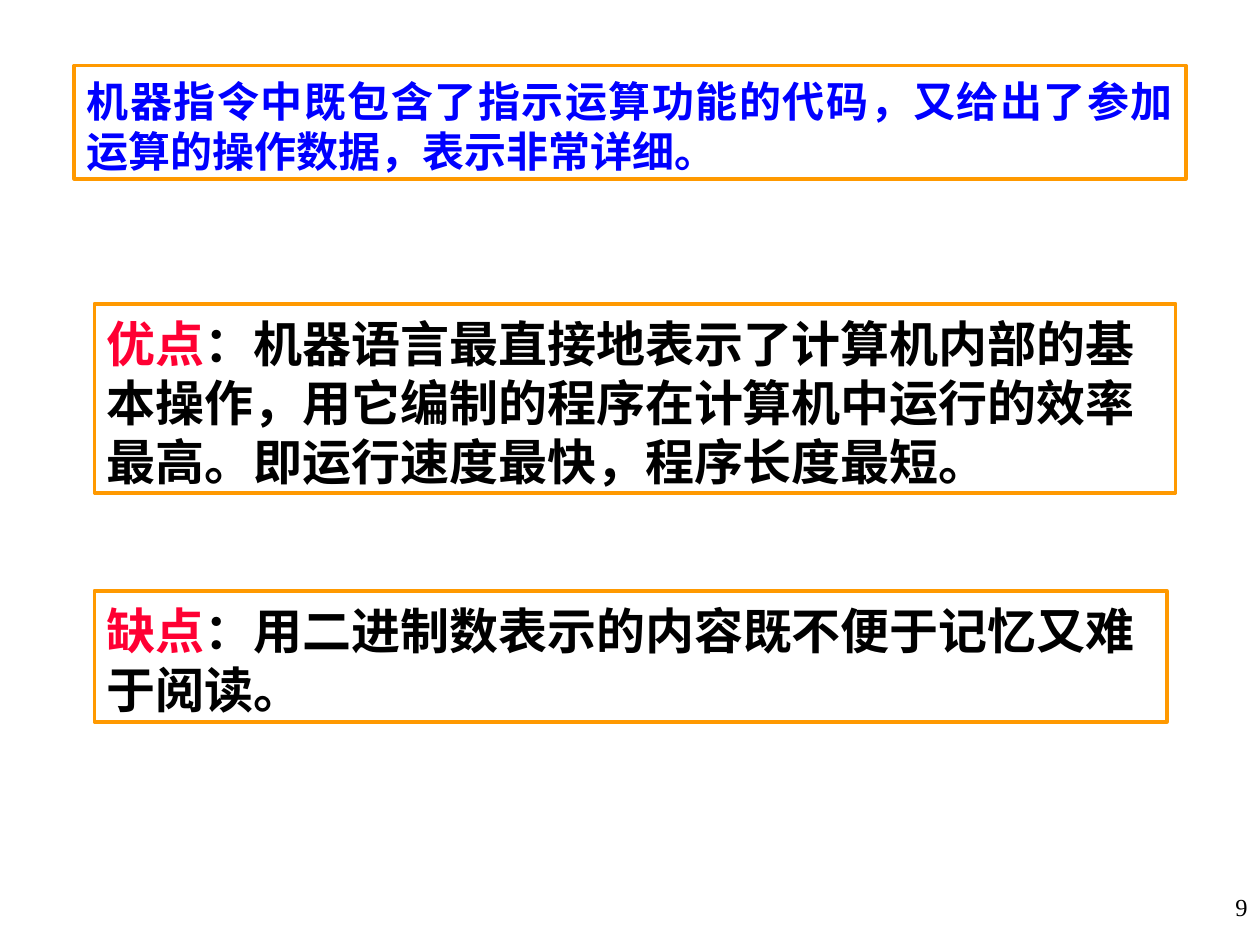
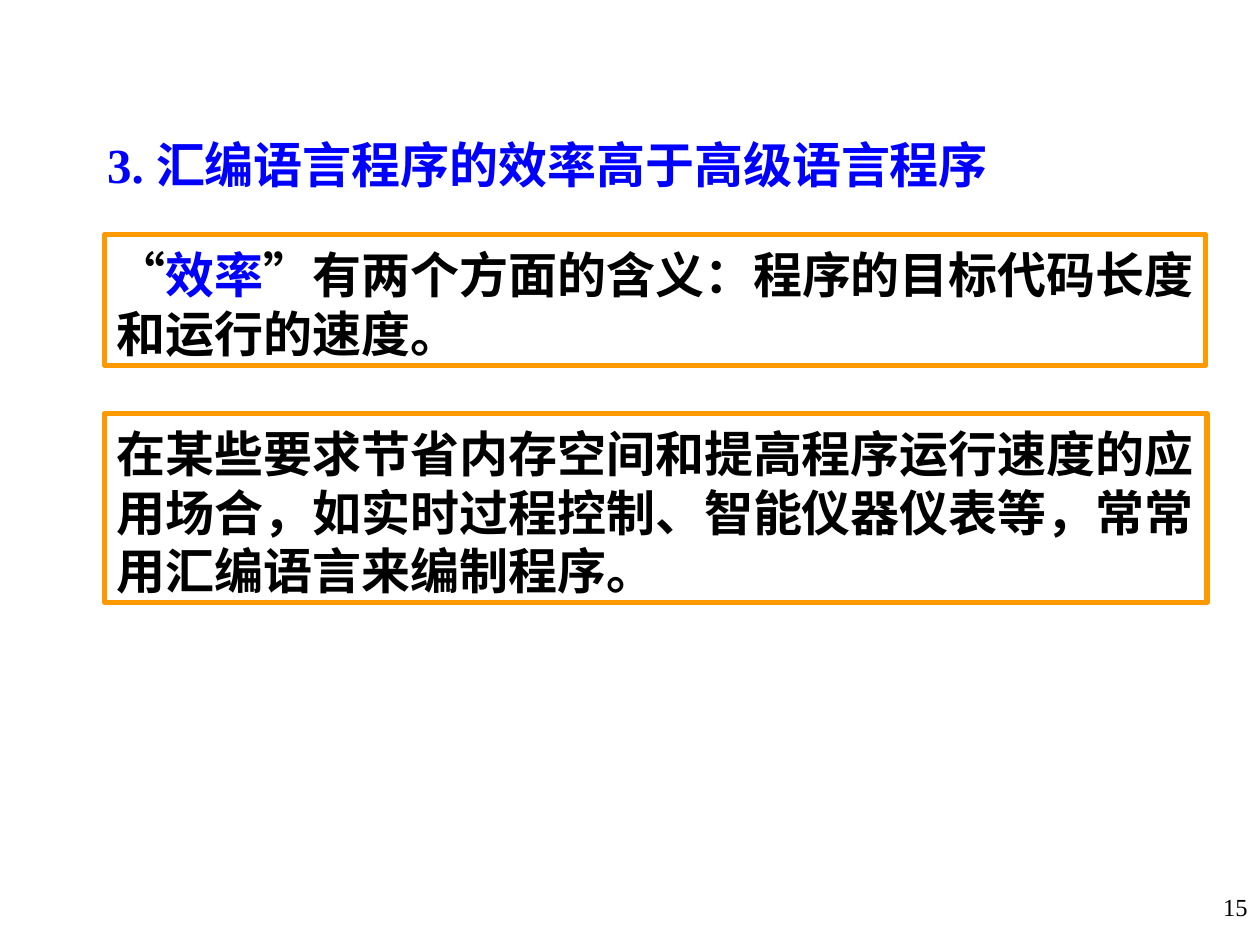
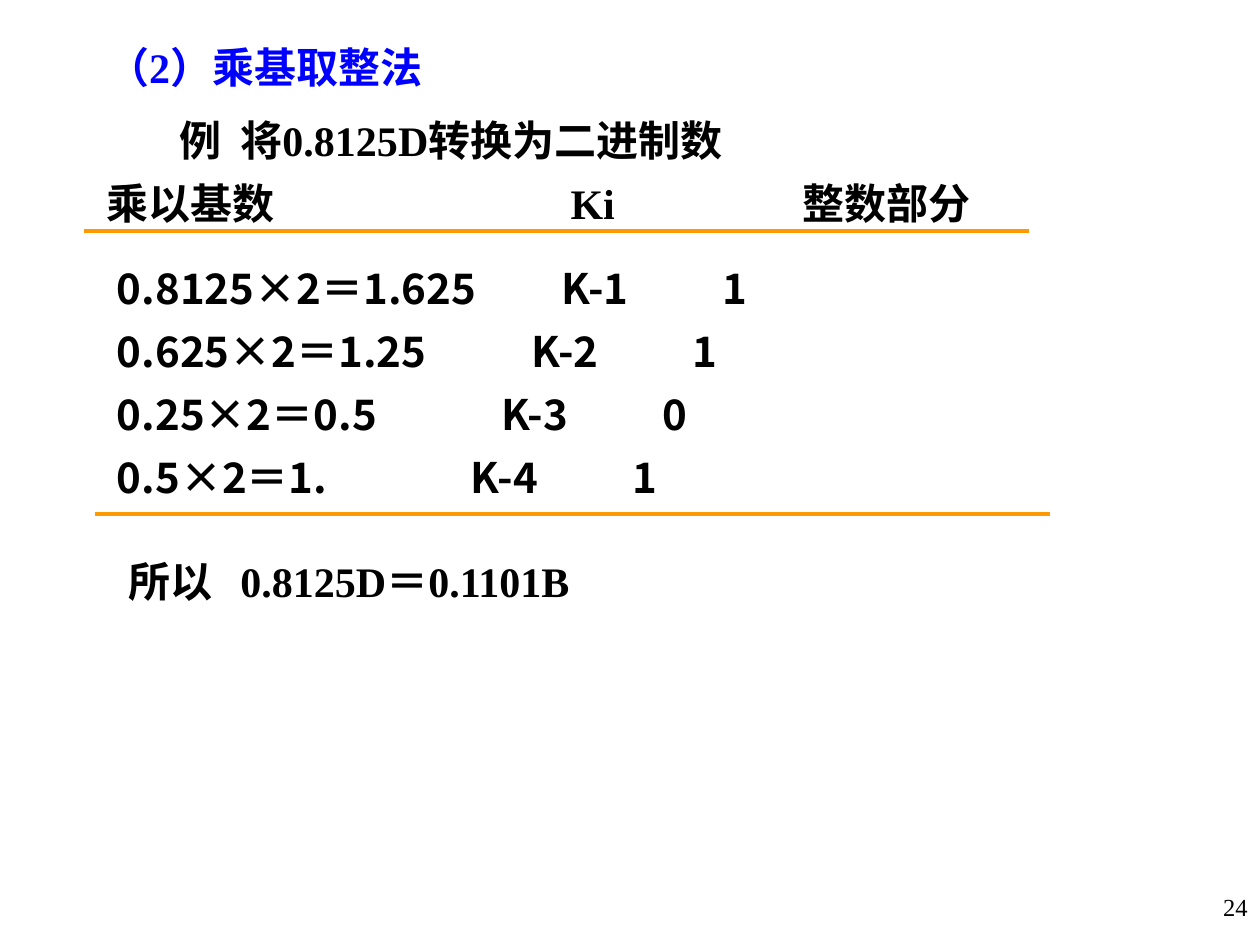
from lxml import etree
from pptx import Presentation
from pptx.dml.color import RGBColor
from pptx.enum.shapes import MSO_CONNECTOR, MSO_SHAPE
from pptx.enum.text import MSO_ANCHOR, MSO_AUTO_SIZE, PP_ALIGN
from pptx.oxml.ns import qn
from pptx.util import Inches, Pt

LEFT, RIGHT, JUSTIFY = PP_ALIGN.LEFT, PP_ALIGN.RIGHT, PP_ALIGN.JUSTIFY
TOP = MSO_ANCHOR.TOP
NO_AUTOFIT = MSO_AUTO_SIZE.NONE
RECTANGLE = MSO_SHAPE.RECTANGLE
STRAIGHT = MSO_CONNECTOR.STRAIGHT

BLACK, WHITE, BLUE, RED, ORANGE = "000000", "FFFFFF", "0000FF", "FF0033", "FF9900"
SERIF, SANS = "Times New Roman", "Noto Sans CJK SC"
TITLE_ONLY, BLANK = 5, 6


def color(value):
    return RGBColor.from_string(value)


def write_text(shape, text, size=24, font=SERIF, fill=BLACK, bold=True, align=LEFT, tabs=()):
    frame = shape.text_frame
    frame.word_wrap = True
    frame.auto_size = NO_AUTOFIT
    frame.vertical_anchor = TOP
    frame.margin_left = frame.margin_right = Inches(0.1)
    frame.margin_top, frame.margin_bottom = Inches(0.08), Inches(0.02)
    paragraph = frame.paragraphs[0]
    paragraph.alignment = align
    paragraph.line_spacing = Pt(size * 1.2)
    if tabs:
        tab_list = etree.SubElement(paragraph._p.get_or_add_pPr(), qn("a:tabLst"))
        for position in tabs:
            etree.SubElement(tab_list, qn("a:tab"), pos=str(Inches(position)), algn="l")
    pieces = [(text, fill)] if isinstance(text, str) else text
    for words, word_color in pieces:
        run = paragraph.add_run()
        run.text = words
        run.font.size = Pt(size)
        run.font.bold = bold
        run.font.name = font
        run.font.color.rgb = color(word_color)
        properties = run._r.get_or_add_rPr()
        properties.set("lang", "zh-CN")
        etree.SubElement(properties, qn("a:ea"), typeface=SANS)


class Deck:
    def __init__(self):
        self.presentation = Presentation()
        self.presentation.slide_width = Inches(10)
        self.presentation.slide_height = Inches(7.5)
        self.slide = None

    def add_slide(self, number, layout=BLANK):
        layouts = self.presentation.slide_layouts
        self.slide = self.presentation.slides.add_slide(layouts[layout])
        self.add_text(str(number), 7.92, 7, 2.08, size=14, bold=False, align=RIGHT)

    def add_title(self, text, left, top, width, height, **style):
        title = self.slide.shapes.title
        title.left, title.top = Inches(left), Inches(top)
        title.width, title.height = Inches(width), Inches(height)
        write_text(title, text, fill=BLUE, **style)
        return title

    def add_text(self, text, left, top, width, height=0.5, **style):
        box = self.slide.shapes.add_textbox(
            Inches(left), Inches(top), Inches(width), Inches(height))
        write_text(box, text, **style)

    def add_frame(self, text, left, top, width, height, border=2.25, **style):
        frame = self.slide.shapes.add_shape(
            RECTANGLE, Inches(left), Inches(top), Inches(width), Inches(height))
        frame.shadow.inherit = False
        frame.fill.background()
        frame.line.color.rgb = color(ORANGE)
        frame.line.width = Pt(border)
        write_text(frame, text, **style)

    def add_rule(self, left, right, top):
        rule = self.slide.shapes.add_connector(
            STRAIGHT, Inches(left), Inches(top), Inches(right), Inches(top))
        rule.line.color.rgb = color(ORANGE)
        rule.line.width = Pt(2.25)
        etree.SubElement(rule._element.spPr, qn("a:effectLst"))


def build_machine_language(deck):
    deck.add_slide(9)
    deck.add_frame("机器指令中既包含了指示运算功能的代码，又给出了参加运算的操作数据，表示非常详细。",
                   0.59, 0.52, 8.82, 0.9, fill=BLUE, align=JUSTIFY)
    deck.add_frame([("优点", RED),
                    ("：机器语言最直接地表示了计算机内部的基本操作，用它编制的程序在计算机中运行的效率最高。"
                     "即运行速度最快，程序长度最短。", BLACK)],
                   0.75, 2.41, 8.58, 1.5, size=28)
    deck.add_frame([("缺点", RED), ("：用二进制数表示的内容既不便于记忆又难于阅读。", BLACK)],
                   0.75, 4.69, 8.51, 1.04, size=28)


def build_efficiency(deck):
    deck.add_slide(15, TITLE_ONLY)
    title = deck.add_title("3. 汇编语言程序的效率高于高级语言程序", 0.75, 0.99, 7.39, 0.57, size=28)
    title.fill.solid()
    title.fill.fore_color.rgb = color(WHITE)
    deck.add_frame([("“", BLACK), ("效率", BLUE),
                    ("”有两个方面的含义：程序的目标代码长度和运行的速度。", BLACK)],
                   0.83, 1.86, 8.74, 1.04, border=3, size=28, align=JUSTIFY)
    deck.add_frame("在某些要求节省内存空间和提高程序运行速度的应用场合，如实时过程控制、智能仪器仪表等，"
                   "常常用汇编语言来编制程序。",
                   0.83, 3.28, 8.75, 1.5, border=3, size=28)


def build_fraction_conversion(deck):
    deck.add_slide(24, TITLE_ONLY)
    deck.add_title("（2）乘基取整法", 0.75, 0.25, 3.08, 0.5)
    deck.add_text("例\t将0.8125D转换为二进制数", 1.33, 0.83, 5.08, tabs=[0.48])
    deck.add_text("乘以基数\tKi\t整数部分", 0.75, 1.33, 7.67, tabs=[3.68, 5.52])
    deck.add_rule(0.67, 8.17, 1.83)
    steps = [("0.8125×2＝1.625", 1), ("0.625×2＝1.25", 1), ("0.25×2＝0.5", 0), ("0.5×2＝1.", 1)]
    for index, (product, digit) in enumerate(steps):
        shift = 0.24 * index
        deck.add_text(f"{product}\tK-{index + 1}\t{digit}", 0.83, 2 + 0.5 * index, 7.5,
                      font=SANS, tabs=[3.53 - shift, 4.81 - shift])
    deck.add_rule(0.75, 8.33, 4.08)
    deck.add_text("所以\t0.8125D＝0.1101B", 0.92, 4.33, 4, tabs=[0.89])


def main():
    deck = Deck()
    build_machine_language(deck)
    build_efficiency(deck)
    build_fraction_conversion(deck)
    deck.presentation.save("out.pptx")


if __name__ == "__main__":
    main()
